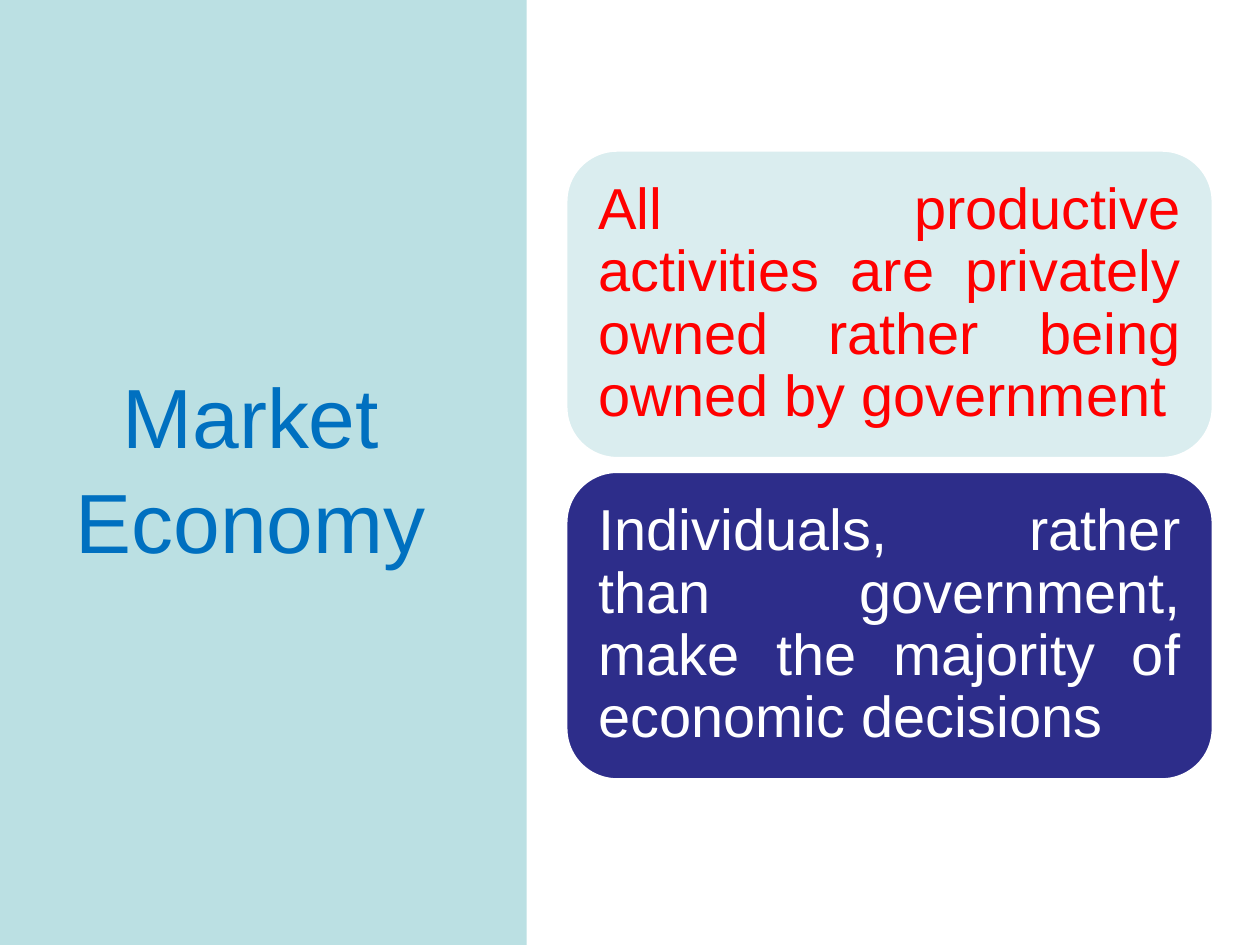
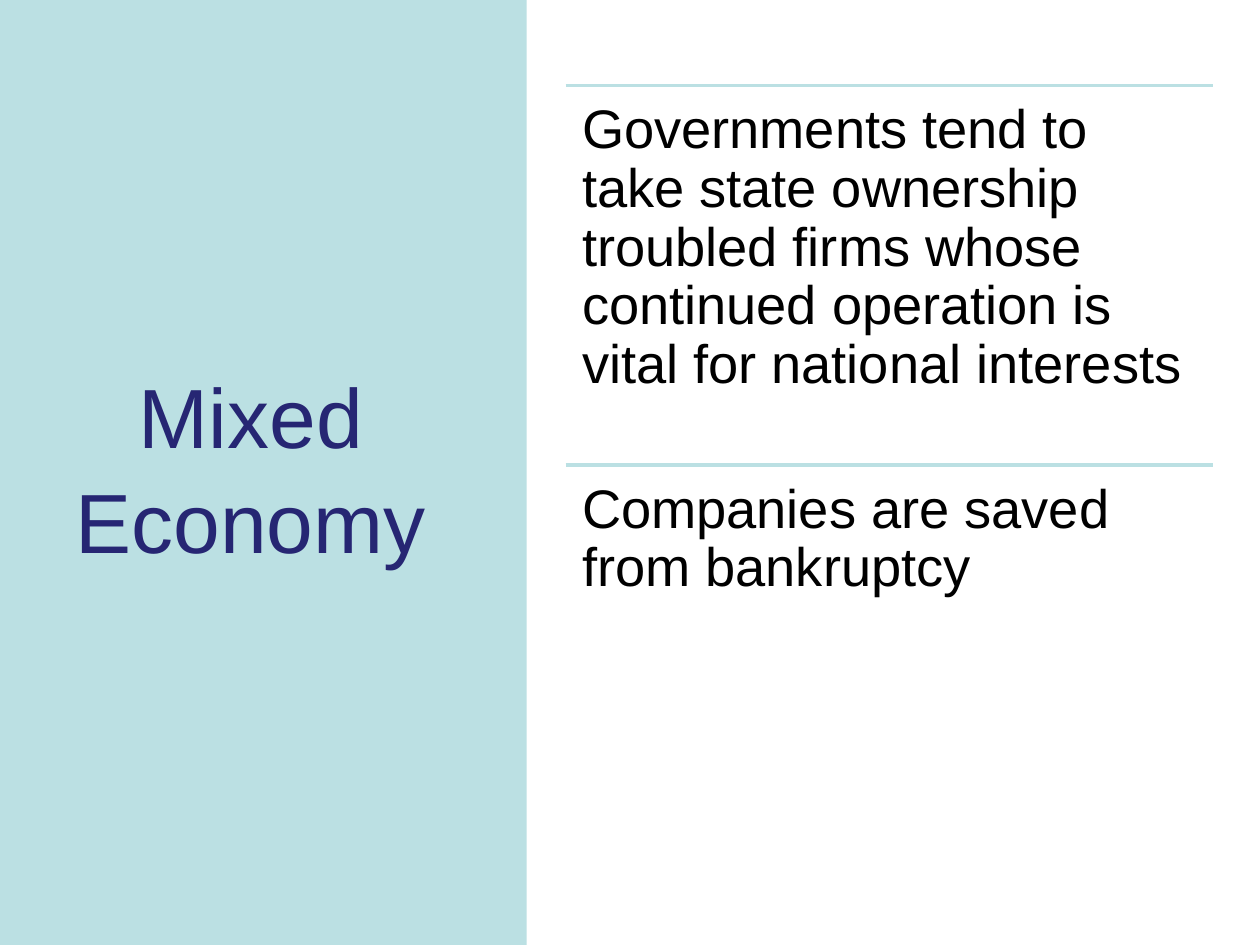
from collections import namedtuple
from dataclasses import dataclass

from lxml.etree import SubElement
from pptx import Presentation
from pptx.dml.color import RGBColor as Color
from pptx.enum.shapes import MSO_CONNECTOR as Connector, MSO_SHAPE as Shape
from pptx.enum.text import MSO_ANCHOR as Anchor, PP_ALIGN as Align
from pptx.oxml.ns import qn
from pptx.util import Inches, Pt

Box = namedtuple("Box", "left top width height")


@dataclass(frozen=True)
class Theme:
    """Colours, font and sizes shared by the slides."""
    font: str = "Arial"
    aqua: str = "BBE0E3"
    pale: str = "DAEDEF"
    navy: str = "2D2D8A"
    indigo: str = "262673"
    blue: str = "0070C0"
    red: str = "FF0000"
    white: str = "FFFFFF"
    black: str = "000000"
    title_size: int = 48
    card_size: int = 33
    row_size: int = 31
    line_width: int = 2


THEME = Theme()
SLIDE = Box(0, 0, 10, 7.5)
PANEL = Box(0, 0, 4.18, SLIDE.height)
TITLE = Box(0.43, 0.68, 3.12, 6.02)
BODY = Box(4.49, TITLE.top, 5.14, TITLE.height)


def inches(box):
    """Convert a box to slide lengths."""
    return [Inches(length) for length in box]


def write(shape, text, *, size, color, align=Align.LEFT, anchor=Anchor.TOP,
          spacing=0.9, inset=0.1):
    """Put one formatted paragraph in a shape."""
    frame = shape.text_frame
    frame.word_wrap = True
    frame.vertical_anchor = anchor
    frame.margin_left = frame.margin_right = Inches(inset)
    frame.margin_top = frame.margin_bottom = Inches(inset)
    para = frame.paragraphs[0]
    para.alignment = align
    para.line_spacing = spacing
    span = para.add_run()
    span.text = text
    span.font.name = THEME.font
    span.font.size = Pt(size)
    span.font.color.rgb = Color.from_string(color)


def add_block(page, box, kind, fill, outline=None):
    """Add a filled shape with an optional outline."""
    block = page.shapes.add_shape(kind, *inches(box))
    block.shadow.inherit = False
    block.fill.solid()
    block.fill.fore_color.rgb = Color.from_string(fill)
    if outline:
        block.line.color.rgb = Color.from_string(outline)
        block.line.width = Pt(THEME.line_width)
    else:
        block.line.fill.background()
    return block


def add_rule(page, box):
    """Draw a line along the top of a box."""
    left, top, width, _ = inches(box)
    rule = page.shapes.add_connector(Connector.STRAIGHT, left, top, left + width, top)
    rule.line.color.rgb = Color.from_string(THEME.aqua)
    rule.line.width = Pt(THEME.line_width)
    SubElement(rule.element.spPr, qn("a:effectLst"))


def add_page(deck, title, color):
    """Add a slide with the side panel and its title."""
    page = deck.slides.add_slide(deck.slide_layouts[6])
    add_block(page, PANEL, Shape.RECTANGLE, THEME.aqua)
    write(page.shapes.add_textbox(*inches(TITLE)), title, size=THEME.title_size,
          color=color, align=Align.CENTER, anchor=Anchor.MIDDLE, spacing=1.05)
    return page


def add_cards(page, box, cards, height=2.45, gap=0.1):
    """Stack rounded cards, centred vertically in the box."""
    stack = len(cards) * (height + gap) - gap
    first = box.top + (box.height - stack) / 2
    for index, (text, fill, color) in enumerate(cards):
        place = box._replace(top=first + index * (height + gap), height=height)
        card = add_block(page, place, Shape.ROUNDED_RECTANGLE, fill, THEME.white)
        write(card, text, size=THEME.card_size, color=color,
              align=Align.JUSTIFY, anchor=Anchor.MIDDLE, inset=0.14)


def add_rows(page, box, texts):
    """Divide the box into equal rows, each under a rule."""
    height = box.height / len(texts)
    for index, text in enumerate(texts):
        row = box._replace(top=box.top + index * height, height=height)
        add_rule(page, row)
        write(page.shapes.add_textbox(*inches(row)), text,
              size=THEME.row_size, color=THEME.black, inset=0.13)


def main():
    """Build and save the deck."""
    deck = Presentation()
    deck.slide_width, deck.slide_height = Inches(SLIDE.width), Inches(SLIDE.height)
    add_cards(add_page(deck, "Market Economy", THEME.blue), BODY, [
        ("All productive activities are privately owned rather being owned by government",
         THEME.pale, THEME.red),
        ("Individuals, rather than government, make the majority of economic decisions",
         THEME.navy, THEME.white),
    ])
    add_rows(add_page(deck, "Mixed Economy", THEME.indigo), BODY, [
        "Governments tend to take state ownership troubled firms whose continued "
        "operation is vital for national interests",
        "Companies are saved from bankruptcy",
    ])
    deck.save("out.pptx")


if __name__ == "__main__":
    main()
